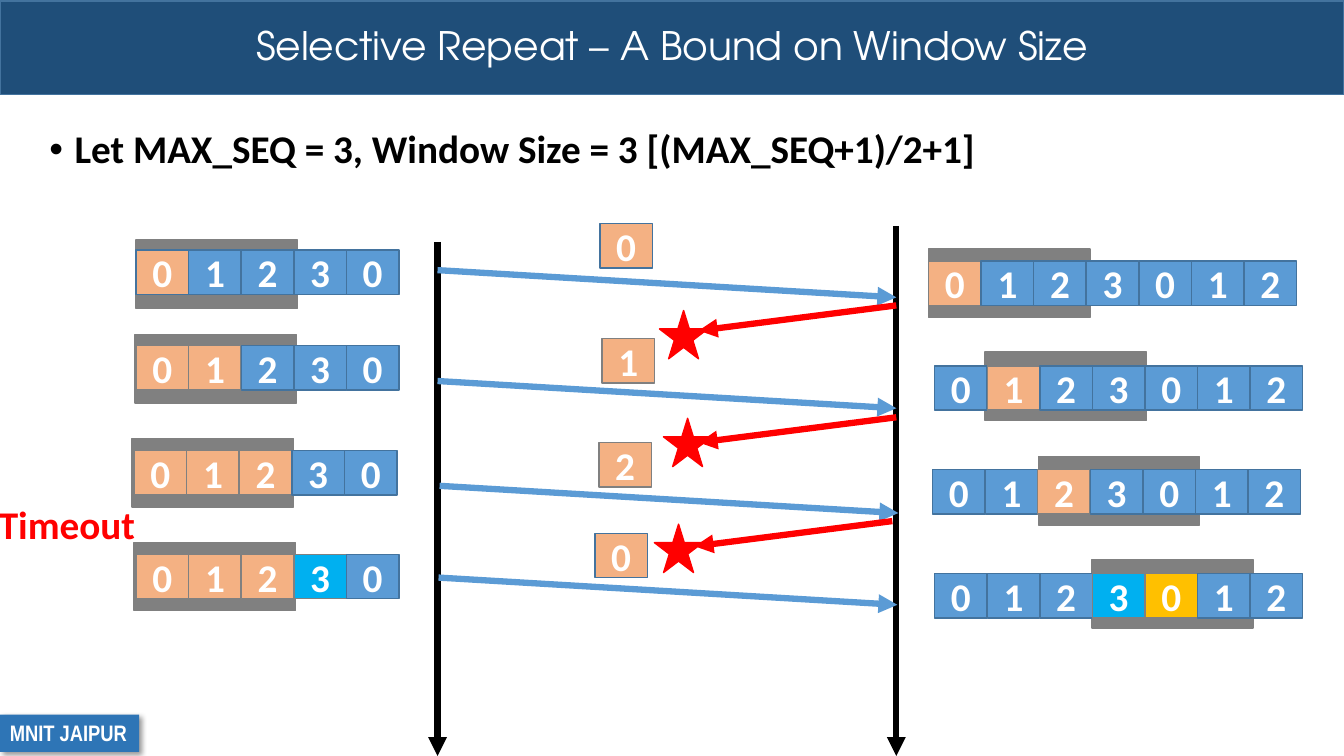
from lxml.etree import SubElement
from pptx import Presentation
from pptx.dml.color import RGBColor
from pptx.enum.shapes import MSO_CONNECTOR, MSO_SHAPE
from pptx.enum.text import MSO_ANCHOR, MSO_AUTO_SIZE, PP_ALIGN
from pptx.oxml.ns import qn
from pptx.util import Inches, Pt

TITLE = "Selective Repeat – A Bound on Window Size"
BULLET = "Let MAX_SEQ = 3, Window Size = 3 [(MAX_SEQ+1)/2+1]"
LABEL = "MNIT JAIPUR"
TIMEOUT = "Timeout"

WHITE = RGBColor(0xFF, 0xFF, 0xFF)
BLACK = RGBColor(0, 0, 0)
NAVY = RGBColor(0x1F, 0x4E, 0x79)
LABEL_BLUE = RGBColor(0x2E, 0x75, 0xB6)
EDGE = RGBColor(0x43, 0x73, 0x9E)
BLUE = RGBColor(0x5B, 0x9B, 0xD5)
ORANGE = RGBColor(0xF4, 0xB1, 0x83)
CYAN = RGBColor(0x00, 0xB0, 0xF0)
GOLD = RGBColor(0xFF, 0xC0, 0x00)
GRAY = RGBColor(0x80, 0x80, 0x80)
RED = RGBColor(0xFF, 0, 0)

STYLES = {"b": (BLUE, EDGE), "o": (ORANGE, GRAY), "e": (ORANGE, EDGE),
          "c": (CYAN, GRAY), "g": (GOLD, GRAY)}
CELL_W, CELL_H = 0.52, 0.44
PITCH = 0.5215
WINDOW_W, WINDOW_H = 1.6, 0.68

# ROWS
ROWS = [
    ("01230", "ebbbb", 1.35, 2.48, 1.35, 2.38),
    ("01230", "oobbb", 1.35, 3.43, 1.34, 3.32),
    ("01230", "ooobb", 1.33, 4.47, 1.31, 4.35),
    ("01230", "ooocb", 1.35, 5.5, 1.33, 5.38),
    ("0123012", "obbbbbb", 9.21, 2.59, 9.21, 2.47),
    ("0123012", "bobbbbb", 9.27, 3.63, 9.77, 3.49),
    ("0123012", "bbobbbb", 9.25, 4.66, 10.3, 4.53),
    ("0123012", "bbbcgbb", 9.27, 5.69, 10.83, 5.55),
]
FRAMES = [("0", "e", 5.95, 2.22), ("1", "o", 5.97, 3.36),
          ("2", "o", 5.94, 4.39), ("0", "e", 5.9, 5.29)]
TIMELINES = [(4.34, 2.4), (8.89, 2.24)]
SENDS = [(4.34, 2.68), (4.34, 3.78), (4.36, 4.82), (4.35, 5.73)]
SEND_DX, SEND_DY = 4.55, 0.27
ACKS = [(8.89, 3.03), (8.89, 4.14), (8.85, 5.17)]
ACK_DX, ACK_DY = -1.96, 0.25
STARS = [(6.54, 3.08), (6.58, 4.15), (6.49, 5.2)]
STAR = 0.48

prs = Presentation()
prs.slide_width, prs.slide_height = Inches(13.33), Inches(7.5)
s = prs.slides.add_slide(prs.slide_layouts[1])


def place(sp, x, y, w, h):
    sp.left, sp.top, sp.width, sp.height = map(Inches, (x, y, w, h))


def paint(sp, fill, edge):
    sp.fill.solid()
    sp.fill.fore_color.rgb = fill
    sp.line.color.rgb = edge
    sp.line.width = Pt(1)


def write(p, text, color, size=28, font="Calibri", bold=True):
    r = p.add_run()
    r.text = text
    r.font.name, r.font.size, r.font.bold = font, Pt(size), bold
    r.font.color.rgb = color


def add_box(kind, x, y, w, h, fill, edge):
    sp = s.shapes.add_shape(kind, *map(Inches, (x, y, w, h)))
    sp.shadow.inherit = False
    paint(sp, fill, edge)
    return sp


def add_cell(digit, style, x, y):
    sp = add_box(MSO_SHAPE.RECTANGLE, x, y, CELL_W, CELL_H, *STYLES[style])
    tf = sp.text_frame
    tf.vertical_anchor = MSO_ANCHOR.MIDDLE
    p = tf.paragraphs[0]
    p.alignment = PP_ALIGN.CENTER
    write(p, digit, WHITE)


def add_arrow(x, y, dx, dy, color):
    c = s.shapes.add_connector(MSO_CONNECTOR.STRAIGHT,
                               *map(Inches, (x, y, x + dx, y + dy)))
    c.line.color.rgb = color
    c.line.width = Pt(4.5)
    SubElement(c.line._get_or_add_ln(), qn("a:tailEnd"), type="triangle")
    SubElement(c._element.spPr, qn("a:effectLst"))


title, body = s.placeholders
place(title, 0, 0.01, 13.33, 0.93)
paint(title, NAVY, EDGE)
tf = title.text_frame
tf.auto_size = MSO_AUTO_SIZE.NONE
tf.vertical_anchor = MSO_ANCHOR.MIDDLE
p = tf.paragraphs[0]
p.alignment, p.line_spacing = PP_ALIGN.CENTER, 0.9
write(p, TITLE, WHITE, font="TeX Gyre Adventor", bold=False)

place(body, 0.39, 1.24, 12.63, 0.69)
tf = body.text_frame
tf.auto_size = MSO_AUTO_SIZE.NONE
p = tf.paragraphs[0]
p.line_spacing, p.space_before = 0.9, Pt(0)
pPr = p._p.get_or_add_pPr()
pPr.set("marL", str(Inches(0.25)))
pPr.set("indent", str(Inches(-0.25)))
SubElement(pPr, qn("a:buFont"), typeface="Arial")
SubElement(pPr, qn("a:buChar"), char="•")
write(p, BULLET, BLACK)

label = add_box(MSO_SHAPE.RECTANGLE, 0, 7.09, 1.38, 0.37, LABEL_BLUE, LABEL_BLUE)
label.line.fill.background()
effects = label._element.spPr.find(qn("a:effectLst"))
shadow = SubElement(effects, qn("a:outerShdw"), blurRad=str(Pt(4)), dist=str(Pt(3)),
                    dir="2700000", algn="tl", rotWithShape="0")
SubElement(SubElement(shadow, qn("a:srgbClr"), val="000000"),
           qn("a:alpha"), val="40000")
tf = label.text_frame
tf.word_wrap = False
tf.vertical_anchor = MSO_ANCHOR.TOP
p = tf.paragraphs[0]
p.alignment = PP_ALIGN.LEFT
write(p, LABEL, WHITE, 16, "Arial Narrow")

for *_, x, y in ROWS:
    add_box(MSO_SHAPE.RECTANGLE, x, y, WINDOW_W, WINDOW_H, GRAY, GRAY)
for x, y in TIMELINES:
    add_arrow(x, y, 0, 7.5 - y, BLACK)
for x, y in SENDS:
    add_arrow(x, y, SEND_DX, SEND_DY, BLUE)
for x, y in ACKS:
    add_arrow(x, y, ACK_DX, ACK_DY, RED)
for x, y in STARS:
    add_box(MSO_SHAPE.STAR_5_POINT, x, y, STAR, STAR, RED, RED)
for digits, styles, x, y, *_ in ROWS:
    for i, (digit, style) in enumerate(zip(digits, styles)):
        add_cell(digit, style, x + i * PITCH, y)
for frame in FRAMES:
    add_cell(*frame)

tb = s.shapes.add_textbox(*map(Inches, (-0.11, 4.91, 1.57, 0.57)))
tb.text_frame.word_wrap = False
tb.text_frame.auto_size = MSO_AUTO_SIZE.SHAPE_TO_FIT_TEXT
write(tb.text_frame.paragraphs[0], TIMEOUT, RED)

prs.save("out.pptx")
